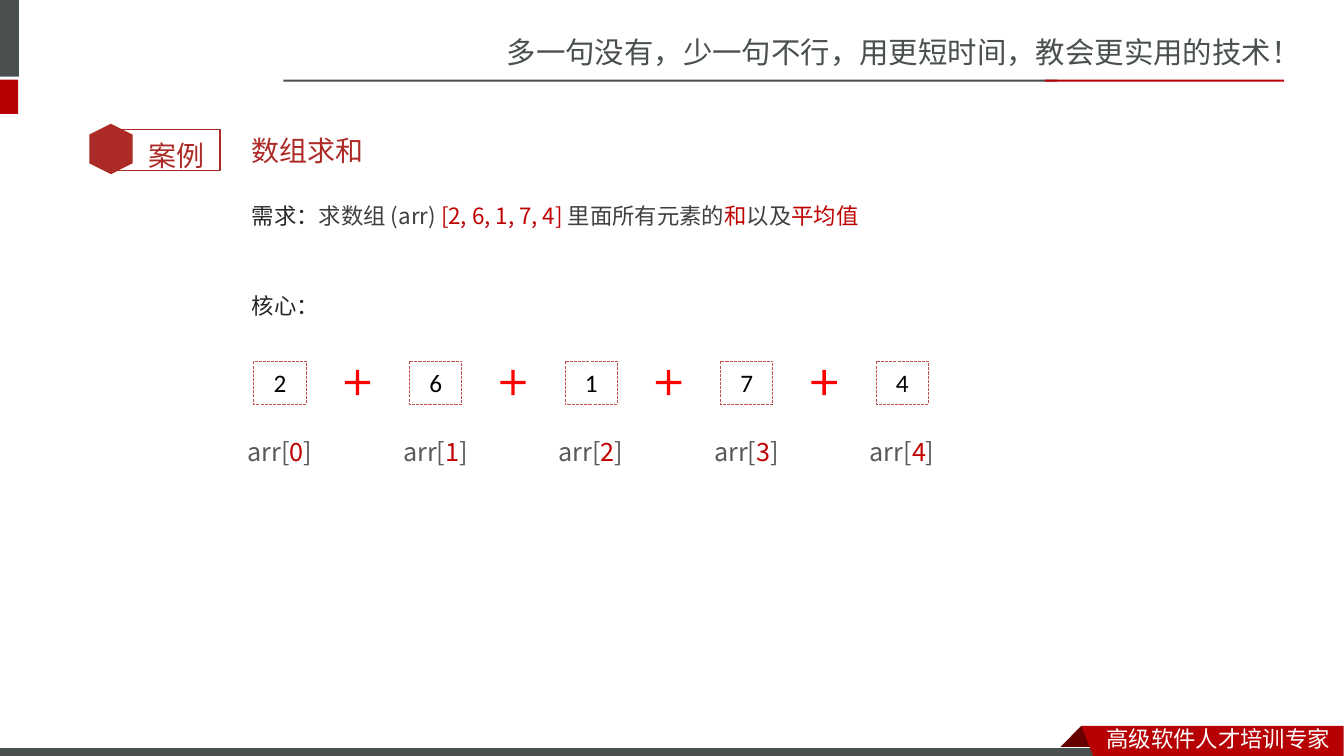
from lxml import etree
from pptx import Presentation
from pptx.dml.color import RGBColor
from pptx.enum.dml import MSO_LINE
from pptx.enum.shapes import MSO_SHAPE
from pptx.enum.text import MSO_ANCHOR, MSO_AUTO_SIZE, PP_ALIGN
from pptx.oxml.ns import qn
from pptx.util import Cm, Pt

RECT, HEX, PLUS = MSO_SHAPE.RECTANGLE, MSO_SHAPE.HEXAGON, MSO_SHAPE.CROSS
DASH = MSO_LINE.SQUARE_DOT
TOP, MID = MSO_ANCHOR.TOP, MSO_ANCHOR.MIDDLE
LEFT, MIDDLE = PP_ALIGN.LEFT, PP_ALIGN.CENTER
FIT, FIXED = MSO_AUTO_SIZE.SHAPE_TO_FIT_TEXT, MSO_AUTO_SIZE.NONE
SC, JP, LATO = "Noto Sans CJK SC", "Noto Sans CJK JP", "Lato"
GRAY, RED, BRICK, WHITE = "49504F", "B60004", "AD2B26", "FFFFFF"
DARK, SOFT, MARK = "262626", "404040", "C00000"


def paint(tone):
    return RGBColor.from_string(tone)


def write(par, text, size=16, face=JP, tone=SOFT):
    run = par.add_run()
    run.text = text
    run.font.size = Pt(size)
    run.font.name = face
    run.font.color.rgb = paint(tone)
    etree.SubElement(run.font._element, qn("a:ea")).set("typeface", face)


class Board:
    def __init__(self, deck):
        self.slide = deck.slides.add_slide(deck.slide_layouts[5])
        self.shapes = self.slide.shapes

    def style(self, item, fill=None, line=None, width=0.75, dash=None):
        item.shadow.inherit = False
        if fill:
            item.fill.solid()
            item.fill.fore_color.rgb = paint(fill)
        else:
            item.fill.background()
        if line:
            item.line.color.rgb = paint(line)
            item.line.width = Pt(width)
            if dash:
                item.line.dash_style = dash
        else:
            item.line.fill.background()
        return item

    def shape(self, kind, box, **look):
        item = self.shapes.add_shape(kind, *map(Cm, box))
        return self.style(item, **look)

    def form(self, points, fill):
        spots = [(Cm(x), Cm(y)) for x, y in points]
        path = self.shapes.build_freeform(*spots[0])
        path.add_line_segments(spots[1:], close=True)
        self.style(path.convert_to_shape(), fill=fill)

    def text(self, box, lines, fit=FIT, space=None, gap=0):
        frame = self.shapes.add_textbox(*map(Cm, box)).text_frame
        frame.word_wrap = True
        frame.auto_size = fit
        frame.vertical_anchor = TOP
        for i, runs in enumerate(lines):
            par = frame.add_paragraph() if i else frame.paragraphs[0]
            if space:
                par.line_spacing = space
            if i:
                par.space_before = Pt(gap)
            for text, look in runs:
                write(par, text, **look)

    def title(self, box, text, **look):
        item = self.shapes.title
        item.left, item.top, item.width, item.height = map(Cm, box)
        frame = item.text_frame
        frame.auto_size = FIXED
        frame.vertical_anchor = MID
        par = frame.paragraphs[0]
        par.alignment = LEFT
        write(par, text, **look)

    def cell(self, box, text):
        item = self.shape(RECT, box, fill=WHITE, line="C0504D", dash=DASH)
        frame = item.text_frame
        frame.vertical_anchor = MID
        par = frame.paragraphs[0]
        par.alignment = MIDDLE
        write(par, text, size=18, face="Calibri", tone="000000")


def frame_page(board):
    board.text((12.52, 0.73, 21.36, 1.19), [[
        ("多一句没有，少一句不行，用更短时间，教会更实用的技术！",
         dict(size=21, face=SC, tone=GRAY))]])
    bars = [
        ((-0.15, 0, 0.63, 1.93), GRAY),
        ((-0.15, 2.01, 0.61, 0.86), RED),
        ((7.14, 2.01, 19.51, 0.05), GRAY),
        ((26.34, 2.01, 6.02, 0.05), RED),
    ]
    for box, tone in bars:
        board.shape(RECT, box, fill=tone)
    board.form([(27.25, 18.29), (27.81, 18.85), (27.79, 18.87),
                (26.72, 18.87), (26.7, 18.85)], "680000")
    board.shape(RECT, (-0.03, 18.83, 27.94, 0.3), fill=GRAY, line=WHITE)
    board.form([(27.25, 18.29), (33.86, 18.29), (33.86, 19.15),
                (27.58, 19.13)], RED)
    board.text((27.64, 18.16, 6.22, 0.94), [[
        ("高级软件人才培训专家", dict(face=SC, tone=WHITE))]])


def add_badge(board):
    board.shape(RECT, (2.78, 3.26, 2.77, 1.04), line=BRICK, width=1)
    gem = board.shape(HEX, (2.16, 3.21, 1.27, 1.09), fill=BRICK)
    gem.rotation = 90
    board.text((3.5, 2.95, 2.16, 1.42), [[
        ("案例", dict(size=20, face=LATO, tone=BRICK))]], space=1.5)


def add_task(board):
    head = dict(face=LATO, tone=DARK)
    soft, mark = dict(tone=SOFT), dict(tone=MARK)
    board.text((6.1, 4.62, 25.6, 12.65), [
        [("需求：", head), ("求数组 (arr) ", soft), ("[2, 6, 1, 7, 4] ", mark),
         ("里面所有元素的", soft), ("和", mark), ("以及", soft),
         ("平均值", mark)],
        [("核心：", head)],
    ], fit=FIXED, space=1.5, gap=35.5)


def add_sum(board, values, step=3.92):
    gray, mark = dict(size=18, tone="595959"), dict(size=18, tone=MARK)
    for i, value in enumerate(values):
        shift = i * step
        board.cell((6.4 + shift, 9.1, 1.32, 1.09), str(value))
        if i < len(values) - 1:
            plus = board.shape(PLUS, (8.69 + shift, 9.32, 0.64, 0.64),
                               fill="FF0000")
            plus.adjustments[0] = 0.435
        board.text((5.99 + shift, 10.87, 2.4, 1.02), [[
            ("arr[", gray), (str(i), mark), ("]", gray)]], fit=FIXED)


def main():
    deck = Presentation()
    deck.slide_width, deck.slide_height = Cm(33.87), Cm(19.05)
    board = Board(deck)
    frame_page(board)
    add_badge(board)
    board.title((6.08, 3.07, 25.6, 1.45), "数组求和",
                size=20, tone="AD2A26")
    add_task(board)
    add_sum(board, [2, 6, 1, 7, 4])
    deck.save("out.pptx")


if __name__ == "__main__":
    main()
